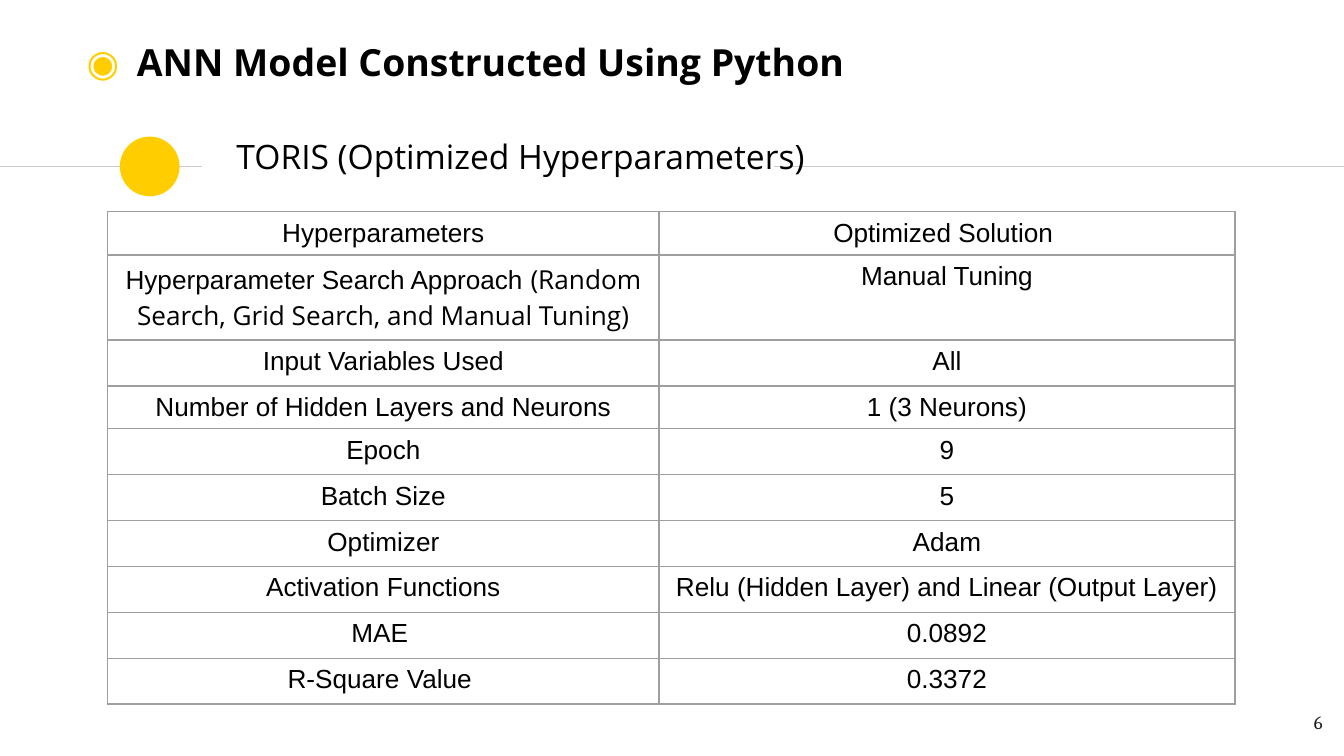
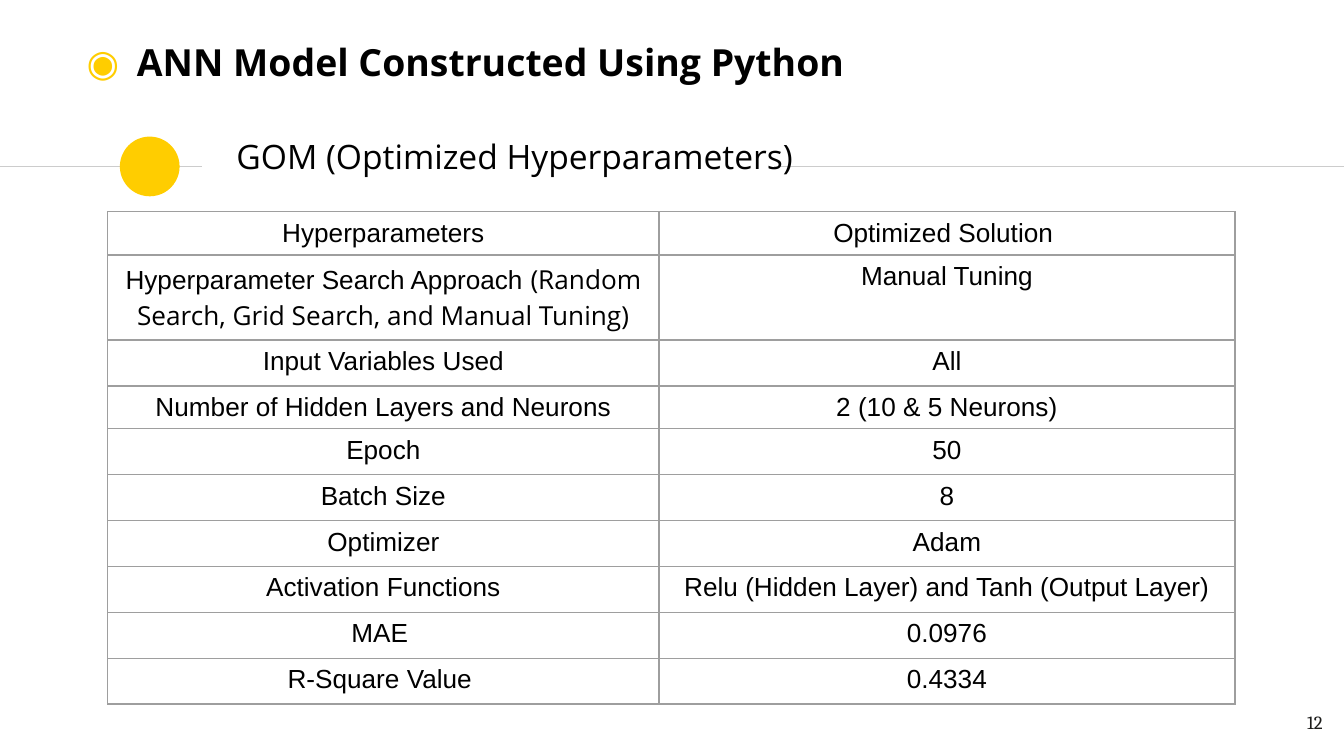
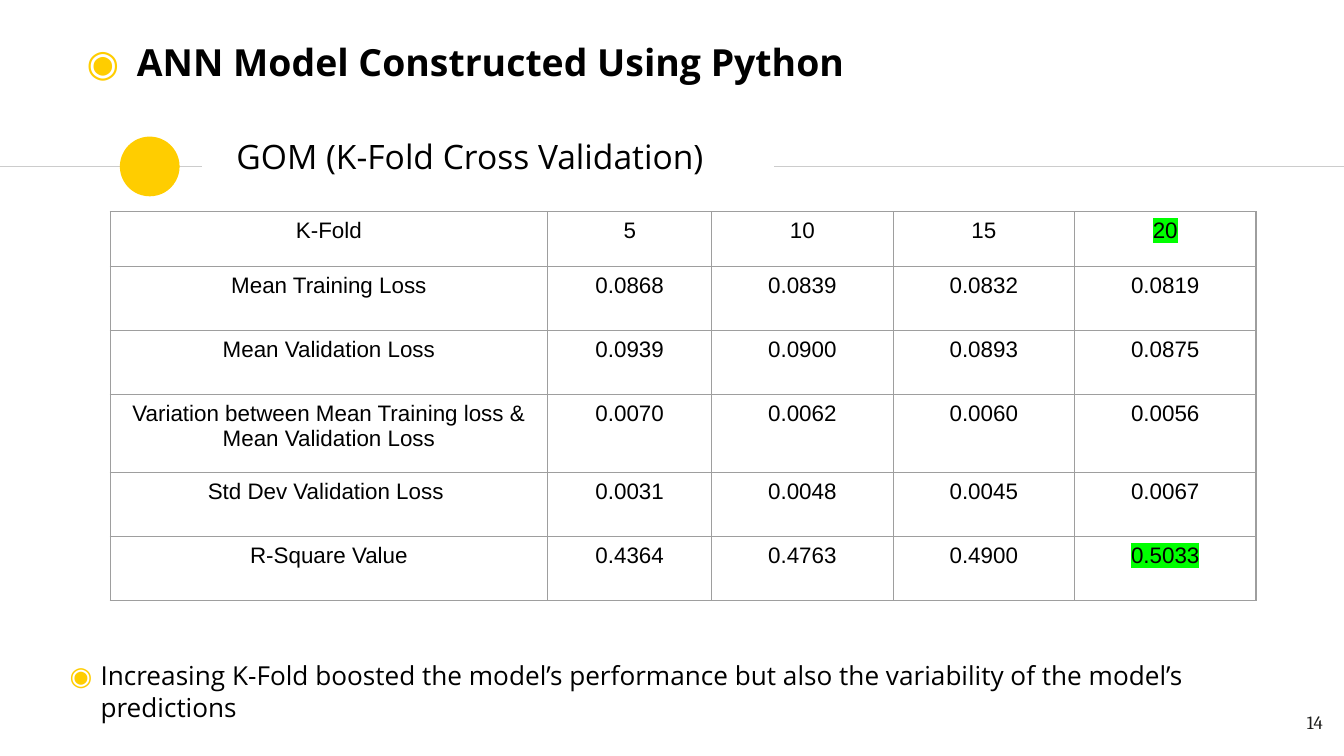
from lxml import etree
from pptx import Presentation
from pptx.dml.color import RGBColor
from pptx.enum.shapes import MSO_CONNECTOR, MSO_SHAPE
from pptx.enum.text import MSO_ANCHOR, MSO_AUTO_SIZE, PP_ALIGN
from pptx.oxml.ns import qn
from pptx.util import Pt

LEFT, CENTER, RIGHT = PP_ALIGN.LEFT, PP_ALIGN.CENTER, PP_ALIGN.RIGHT
TOP, MIDDLE = MSO_ANCHOR.TOP, MSO_ANCHOR.MIDDLE
STRAIGHT, OVAL = MSO_CONNECTOR.STRAIGHT, MSO_SHAPE.OVAL
NO_FIT = MSO_AUTO_SIZE.NONE

COLORS = {"text": "000000", "number": "1D1D1B", "accent": "FFCD00",
          "rule": "CCCCCC", "grid": "9E9E9E", "mark": "00FF00"}
HEAD_FONT, CELL_FONT, NUMBER_FONT = "Open Sans", "Arial", "Cambria"

TITLE = "ANN Model Constructed Using Python"
BULLET = "◉"
PARAMETERS = [
    "Hyperparameters",
    [("Hyperparameter Search Approach ", CELL_FONT),
     ("(Random Search, Grid Search, and Manual Tuning)", HEAD_FONT)],
    "Input Variables Used", "Number of Hidden Layers and Neurons", "Epoch",
    "Batch Size", "Optimizer", "Activation Functions", "MAE ", "R-Square Value ",
]
TORIS = ["Optimized Solution ", "Manual Tuning", "All", "1 (3 Neurons)", "9", "5", "Adam",
         "Relu (Hidden Layer) and Linear (Output Layer)", "0.0892", "0.3372"]
GOM = ["Optimized Solution ", "Manual Tuning", "All", "2 (10 & 5 Neurons)", "50", "8", "Adam",
       "Relu (Hidden Layer) and Tanh (Output Layer)", "0.0976", "0.4334"]
FOLDS = [
    ("K-Fold", "5", "10", "15", "20"),
    ("Mean Training Loss", "0.0868", "0.0839", "0.0832", "0.0819"),
    ("Mean Validation Loss", "0.0939", "0.0900", "0.0893", "0.0875"),
    ("Variation between Mean Training loss & Mean Validation Loss",
     "0.0070", "0.0062", "0.0060", "0.0056"),
    ("Std Dev Validation Loss ", "0.0031", "0.0048", "0.0045", "0.0067"),
    ("R-Square Value", "0.4364", "0.4763", "0.4900", "0.5033"),
]
PARAMETER_GRID = {"left": 57.8, "size": 14, "cols": [295.2, 308.6], "marked": [],
                  "heights": [23.2, 45.6, 24.6, 22.9] + [24.6] * 6}
FOLD_GRID = {"left": 59, "size": 12, "cols": [234.5, 87.8] + [97.2] * 3,
             "marked": [(0, 4), (5, 4)],
             "heights": [29.5, 34.3, 34.3, 41.8, 34.2, 34.2]}
SLIDES = [
    {"heading": "TORIS (Optimized Hyperparameters)", "number": "6",
     "rows": list(zip(PARAMETERS, TORIS)), "grid": PARAMETER_GRID},
    {"heading": "GOM (Optimized Hyperparameters)", "number": "12",
     "rows": list(zip(PARAMETERS, GOM)), "grid": PARAMETER_GRID},
    {"heading": "GOM (K-Fold Cross Validation)", "number": "14",
     "rows": FOLDS, "grid": FOLD_GRID,
     "note": "Increasing K-Fold boosted the model’s performance but also "
             "the variability of the model’s predictions"},
]
WIDTH, HEIGHT = 720, 405
RULE_Y, DOT = 89.2, 32
TABLE_TOP = 113.4


def rgb(name):
    return RGBColor.from_string(COLORS[name])


def add_solid(parent, tag, name):
    el = etree.SubElement(parent, qn(tag))
    etree.SubElement(el, qn("a:srgbClr"), val=COLORS[name])
    return el


def add_run(p, text, font, size, color="text", bold=False, marked=False):
    r = p.add_run()
    r.text = text
    r.font.name, r.font.size, r.font.bold = font, Pt(size), bold
    r.font.color.rgb = rgb(color)
    if marked:
        rpr = r.font._element
        rpr.find(qn("a:solidFill")).addnext(add_solid(rpr, "a:highlight", "mark"))


def set_indent(p, margin, indent=0, bullet=False):
    ppr = p._p.get_or_add_pPr()
    ppr.set("marL", str(Pt(margin)))
    ppr.set("indent", str(Pt(indent)))
    if bullet:
        add_solid(ppr, "a:buClr", "accent")
        etree.SubElement(ppr, qn("a:buFont"), typeface=HEAD_FONT)
        etree.SubElement(ppr, qn("a:buChar"), char=BULLET)
    else:
        etree.SubElement(ppr, qn("a:buNone"))


def setup_text(sp, box, inset=7.2, anchor=TOP, align=LEFT):
    sp.left, sp.top, sp.width, sp.height = map(Pt, box)
    tf = sp.text_frame
    tf.word_wrap, tf.auto_size, tf.vertical_anchor = True, NO_FIT, anchor
    tf.margin_left = tf.margin_right = Pt(7.2)
    tf.margin_top = tf.margin_bottom = Pt(inset)
    p = tf.paragraphs[0]
    p.alignment = align
    return p


def add_text_box(slide, box, **options):
    return setup_text(slide.shapes.add_textbox(*map(Pt, box)), box, **options)


def add_band(slide, layout):
    parts = []
    for start, end in ((0, 108), (414.7, WIDTH)):
        line = slide.shapes.add_connector(STRAIGHT, Pt(start), Pt(RULE_Y), Pt(end), Pt(RULE_Y))
        line.line.color.rgb, line.line.width = rgb("rule"), Pt(0.75)
        etree.SubElement(line._element.spPr, qn("a:effectLst"))
        parts.append(line)
    dot = slide.shapes.add_shape(OVAL, Pt(64.2), Pt(RULE_Y - DOT / 2), Pt(DOT), Pt(DOT))
    dot.shadow.inherit = False
    dot.fill.solid()
    dot.fill.fore_color.rgb = rgb("accent")
    dot.line.fill.background()
    parts.insert(1, dot)
    for sp in parts:
        layout.shapes._spTree.append(sp._element)


def add_grid(slide, rows, grid):
    cols, heights = grid["cols"], grid["heights"]
    table = slide.shapes.add_table(len(rows), len(cols), Pt(grid["left"]), Pt(TABLE_TOP),
                                   Pt(sum(cols)), Pt(sum(heights))).table
    table.first_row = table.horz_banding = False
    for col, width in zip(table.columns, cols):
        col.width = Pt(width)
    for i, (row, height) in enumerate(zip(rows, heights)):
        table.rows[i].height = Pt(height)
        for j, content in enumerate(row):
            cell = table.cell(i, j)
            tcpr = cell._tc.get_or_add_tcPr()
            for side in "LRTB":
                ln = etree.SubElement(tcpr, qn("a:ln" + side), w=str(Pt(0.75)))
                add_solid(ln, "a:solidFill", "grid")
            cell.fill.background()
            p = cell.text_frame.paragraphs[0]
            p.alignment = CENTER
            runs = [(content, CELL_FONT)] if isinstance(content, str) else content
            for text, font in runs:
                add_run(p, text, font, grid["size"], marked=(i, j) in grid["marked"])


def add_slide(prs, layout, data):
    slide = prs.slides.add_slide(layout)
    p = setup_text(slide.shapes.title, (30.2, 15.8, 668.2, 34.6), anchor=MIDDLE)
    set_indent(p, 36, -27, bullet=True)
    add_run(p, TITLE, HEAD_FONT, 20, bold=True)

    p = setup_text(slide.placeholders[1], (110.9, 65.5, 483.8, 32.4))
    set_indent(p, 8.6)
    p.space_before = Pt(6)
    add_run(p, data["heading"], HEAD_FONT, 18)

    p = add_text_box(slide, (672.5, 373.7, 43.2, 31), align=RIGHT)
    add_run(p, data["number"], NUMBER_FONT, 10, "number")

    add_grid(slide, data["rows"], data["grid"])
    if "note" in data:
        p = add_text_box(slide, (30.2, 350, 681.8, 41), inset=3.6)
        set_indent(p, 16.6, -16.6, bullet=True)
        add_run(p, data["note"], HEAD_FONT, 14)
    return slide


def main():
    prs = Presentation()
    prs.slide_width, prs.slide_height = Pt(WIDTH), Pt(HEIGHT)
    layout = prs.slide_layouts[1]
    slides = [add_slide(prs, layout, data) for data in SLIDES]
    add_band(slides[0], layout)
    prs.save("out.pptx")


if __name__ == "__main__":
    main()
